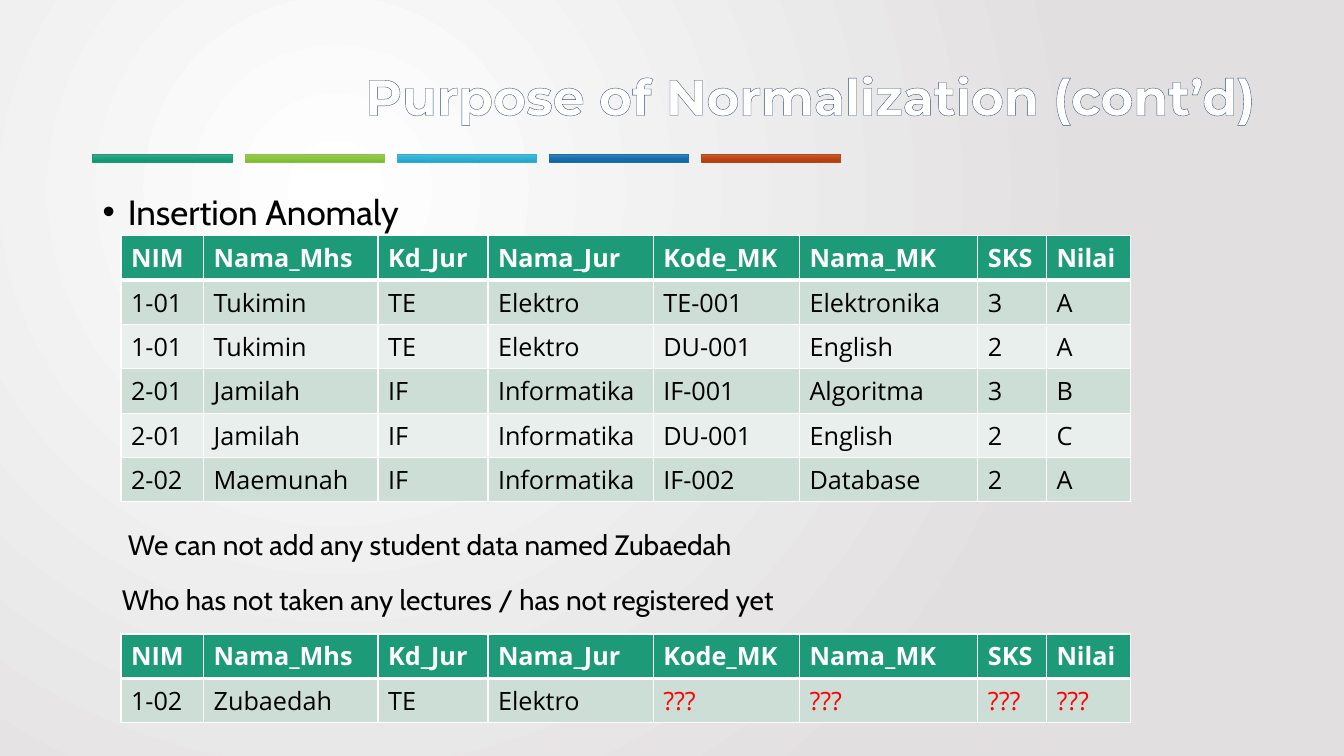
from lxml.etree import SubElement
from pptx import Presentation
from pptx.dml.color import RGBColor
from pptx.enum.shapes import MSO_SHAPE
from pptx.enum.text import MSO_ANCHOR, MSO_AUTO_SIZE, PP_ALIGN
from pptx.oxml.ns import qn
from pptx.util import Inches, Pt

COLORS = {
    "white": "FFFFFF", "black": "000000", "red": "FF0000", "edge": "E1DFDF",
    "header": "1D9A78", "odd": "CDDED6", "even": "E8EFEC", "outline": "3A5274",
}
BARS = [
    ("1D9A78", ["4EA788", "17A07B", "0F9470"]),
    ("8BC145", ["98C862", "8CC73F", "7DB831"]),
    ("36AFCE", ["59B8D4", "2EB3D6", "21A4C6"]),
    ("1D6FA9", ["4E80B5", "1670B0", "0D65A3"]),
    ("B74919", ["C2634D", "BF4611", "B13B08"]),
]
HEADER = ["NIM", "Nama_Mhs", "Kd_Jur", "Nama_Jur", "Kode_MK", "Nama_MK", "SKS", "Nilai"]
WIDTHS = [0.82, 1.73, 1.09, 1.64, 1.45, 1.77, 0.68, 0.83]
GRADES = [
    ["1-01", "Tukimin", "TE", "Elektro", "TE-001", "Elektronika", "3", "A"],
    ["1-01", "Tukimin", "TE", "Elektro", "DU-001", "English", "2", "A"],
    ["2-01", "Jamilah", "IF", "Informatika", "IF-001", "Algoritma", "3", "B"],
    ["2-01", "Jamilah", "IF", "Informatika", "DU-001", "English", "2", "C"],
    ["2-02", "Maemunah", "IF", "Informatika", "IF-002", "Database", "2", "A"],
]
UNREGISTERED = [["1-02", "Zubaedah", "TE", "Elektro"] + ["???"] * 4]
POINTS = [
    ("Insertion Anomaly", 25, 0.25, 0, True),
    ("We can not add any student data named Zubaedah", 20, 0.25, 206, False),
    ("Who has not taken any lectures / has not registered yet", 20, 0.19, 10, False),
]


class SlideBuilder:
    """Holds the slide and its style, with one method per kind of element."""

    def __init__(self, page):
        self.page = page

    def style(self, font, name, size, color, bold=False):
        """Format a font."""
        font.name, font.size, font.bold = name, Pt(size), bold
        font.color.rgb = RGBColor.from_string(COLORS[color])

    def gradient(self, fill, owner, colors, centre=None):
        """Fill with evenly spaced colours, downwards or from a centre."""
        fill.gradient()
        element = next(owner.iter(qn("a:gradFill")))
        for child in list(element):
            element.remove(child)
        stops = SubElement(element, qn("a:gsLst"))
        for index, color in enumerate(colors):
            stop = SubElement(stops, qn("a:gs"), pos=str(index * 100000 // (len(colors) - 1)))
            SubElement(stop, qn("a:srgbClr"), val=color)
        if centre:
            circle = SubElement(element, qn("a:path"), path="circle")
            SubElement(circle, qn("a:fillToRect"), centre)
        else:
            SubElement(element, qn("a:lin"), ang="5400000", scaled="0")

    def background(self):
        """Paint the circular background."""
        centre = {"l": "50000", "t": "50000", "r": "100000", "b": "100000"}
        self.gradient(self.page.background.fill, self.page.element,
                      [COLORS["white"], COLORS["edge"]], centre)

    def title(self, text):
        """Place the outlined title."""
        box = self.page.shapes.title
        box.left, box.top, box.width, box.height = map(Inches, (1.05, 0.26, 11.5, 1.45))
        frame = box.text_frame
        frame.text = text
        frame.auto_size = MSO_AUTO_SIZE.NONE
        frame.vertical_anchor = MSO_ANCHOR.MIDDLE
        para = frame.paragraphs[0]
        para.alignment, para.line_spacing = PP_ALIGN.RIGHT, 0.9
        self.style(para.runs[0].font, "Montserrat", 36, "white", True)
        self.line(next(box.element.iter(qn("a:rPr"))), "a:ln", 1, "outline", 0)

    def line(self, parent, tag, width, color, position):
        """Insert a solid line into text or cell properties."""
        line = SubElement(parent, qn(tag), w=str(Pt(width)))
        parent.insert(position, line)
        SubElement(SubElement(line, qn("a:solidFill")), qn("a:srgbClr"), val=COLORS[color])

    def bar(self, left, border, colors):
        """Draw one coloured bar under the title."""
        bar = self.page.shapes.add_shape(
            MSO_SHAPE.RECTANGLE, Inches(left), Inches(1.53), Inches(1.38), Inches(0.08))
        bar.shadow.inherit = False
        self.gradient(bar.fill, bar.element, colors)
        bar.line.color.rgb = RGBColor.from_string(border)
        bar.line.width = Pt(0.5)

    def body(self, points):
        """Write the body text around the tables."""
        box = self.page.shapes.add_textbox(
            Inches(0.92), Inches(1.76), Inches(11.5), Inches(5.74))
        frame = box.text_frame
        frame.word_wrap = True
        for index, (text, size, margin, before, bulleted) in enumerate(points):
            para = frame.add_paragraph() if index else frame.paragraphs[0]
            para.text = text
            para.line_spacing, para.space_before = 1.2, Pt(before)
            properties = para._p.get_or_add_pPr()
            properties.set("marL", str(Inches(margin)))
            if bulleted:
                properties.set("indent", str(-Inches(margin)))
                SubElement(properties, qn("a:buFont"), typeface="Arial")
                SubElement(properties, qn("a:buChar"), char="•")
            self.style(para.runs[0].font, "Cabin", size, "black")

    def table(self, top, records):
        """Add a table with the shared header and banded rows."""
        rows = [HEADER] + records
        table = self.page.shapes.add_table(
            len(rows), len(HEADER), Inches(1.2), Inches(top),
            Inches(sum(WIDTHS)), Inches(0.44 * len(rows))).table
        for column, width in zip(table.columns, WIDTHS):
            column.width = Inches(width)
        for row, values in enumerate(rows):
            for column, text in enumerate(values):
                self.cell(table.cell(row, column), text, row)

    def cell(self, cell, text, row):
        """Fill, border and write one cell."""
        band = "header" if row == 0 else "odd" if row % 2 else "even"
        color = "white" if row == 0 else "red" if text == "???" else "black"
        cell.text = text
        self.style(cell.text_frame.paragraphs[0].runs[0].font, "Open Sans", 18, color, row == 0)
        cell.fill.solid()
        cell.fill.fore_color.rgb = RGBColor.from_string(COLORS[band])
        widths = {"L": 1, "R": 1, "T": 3 if row == 1 else 1, "B": 3 if row == 0 else 1}
        for position, (side, width) in enumerate(widths.items()):
            self.line(cell._tc.get_or_add_tcPr(), f"a:ln{side}", width, "white", position)


def main():
    """Build the slide and save it."""
    deck = Presentation()
    deck.slide_width, deck.slide_height = Inches(13.33), Inches(7.5)
    slide = SlideBuilder(deck.slides.add_slide(deck.slide_layouts[5]))
    slide.background()
    slide.title("Purpose of Normalization (cont’d)")
    for index, (border, colors) in enumerate(BARS):
        slide.bar(0.92 + 1.51 * index, border, colors)
    slide.body(POINTS)
    slide.table(2.34, GRADES)
    slide.table(6.29, UNREGISTERED)
    deck.save("out.pptx")


if __name__ == "__main__":
    main()
